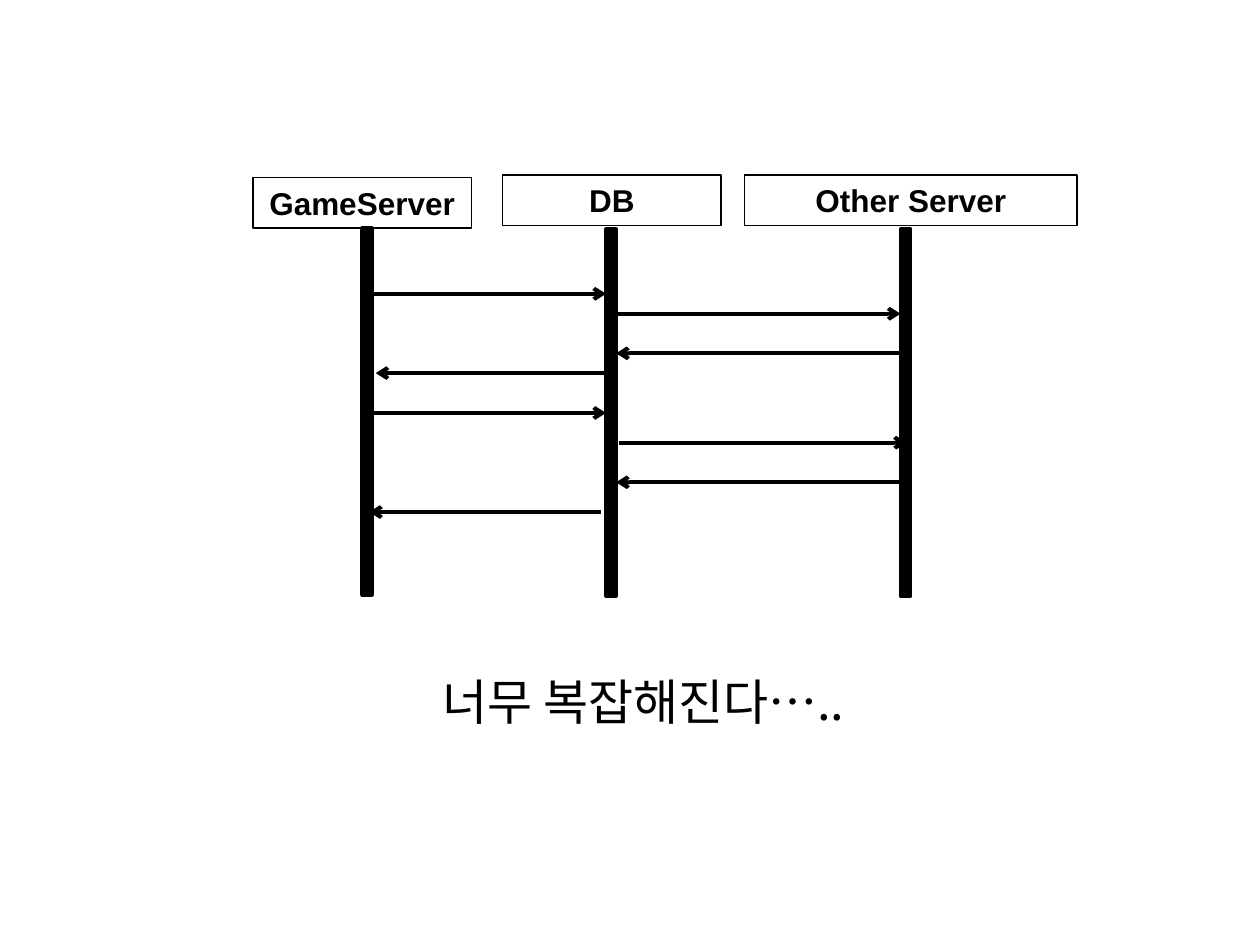
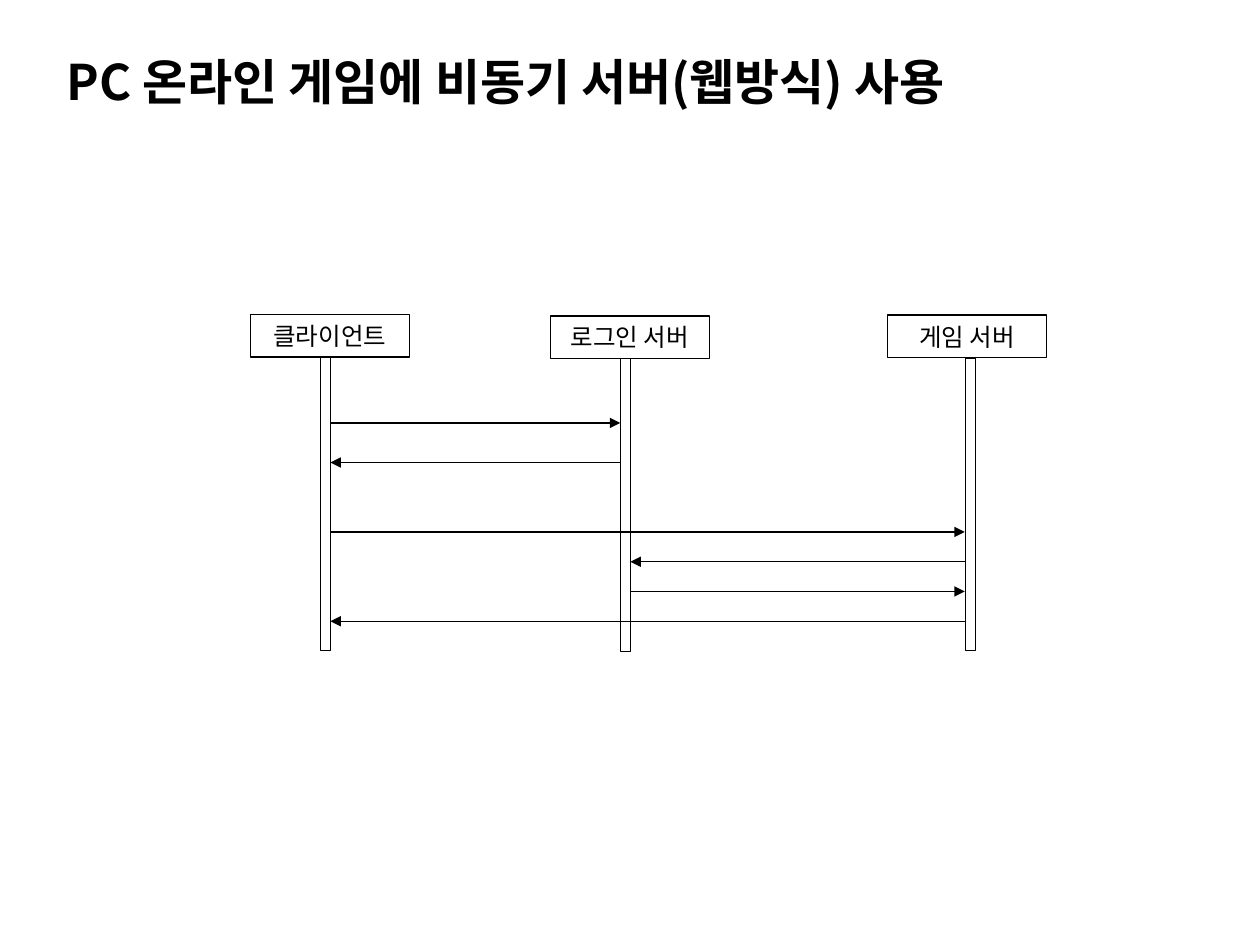
from lxml import etree
from pptx import Presentation
from pptx.dml.color import RGBColor
from pptx.enum.shapes import MSO_CONNECTOR, MSO_SHAPE
from pptx.enum.text import MSO_ANCHOR, MSO_AUTO_SIZE, PP_ALIGN
from pptx.oxml.ns import qn
from pptx.util import Pt

RECTANGLE = MSO_SHAPE.RECTANGLE
STRAIGHT = MSO_CONNECTOR.STRAIGHT
LEFT, CENTER = PP_ALIGN.LEFT, PP_ALIGN.CENTER
TOP, MIDDLE = MSO_ANCHOR.TOP, MSO_ANCHOR.MIDDLE
NO_AUTOFIT = MSO_AUTO_SIZE.NONE

TITLE_ONLY, BLANK = 5, 6
BLACK = "000000"
LATIN_FONT, KOREAN_FONT = "Arial", "Noto Sans CJK KR"
BAR_WIDTH = 5.8


def color(hex_string):
    return RGBColor.from_string(hex_string)


def write(shape, text, size=28, font=KOREAN_FONT, bold=False, align=LEFT,
          anchor=TOP, wrap=True):
    frame = shape.text_frame
    frame.word_wrap = wrap
    frame.auto_size = NO_AUTOFIT
    frame.vertical_anchor = anchor
    paragraph = frame.paragraphs[0]
    paragraph.alignment = align
    run = paragraph.add_run()
    run.text = text
    run.font.size = Pt(size)
    run.font.name = font
    run.font.bold = bold
    run.font.color.rgb = color(BLACK)
    east_asian = etree.SubElement(run._r.get_or_add_rPr(), qn("a:ea"))
    east_asian.set("typeface", KOREAN_FONT)


class SequenceDeck:
    def __init__(self):
        self.presentation = Presentation()
        self.presentation.slide_width = Pt(720)
        self.presentation.slide_height = Pt(540)
        self.slide = None

    def new_slide(self, layout):
        layouts = self.presentation.slide_layouts
        self.slide = self.presentation.slides.add_slide(layouts[layout])

    def title(self, text, left, top, width, height):
        title = self.slide.shapes.title
        title.left, title.top = Pt(left), Pt(top)
        title.width, title.height = Pt(width), Pt(height)
        write(title, text, bold=True)

    def caption(self, text, left, top, width, height):
        caption = self.slide.shapes.add_textbox(
            Pt(left), Pt(top), Pt(width), Pt(height))
        write(caption, text)

    def box(self, left, top, width, height, line_width, fill=None):
        box = self.slide.shapes.add_shape(
            RECTANGLE, Pt(left), Pt(top), Pt(width), Pt(height))
        box.shadow.inherit = False
        if fill:
            box.fill.solid()
            box.fill.fore_color.rgb = color(fill)
        else:
            box.fill.background()
        box.line.color.rgb = color(BLACK)
        box.line.width = Pt(line_width)
        return box

    def participant(self, name, left, top, width, height, **text_format):
        header = self.box(left, top, width, height, 0.75)
        write(header, name, font=LATIN_FONT, align=CENTER, anchor=MIDDLE,
              wrap=False, **text_format)

    def message(self, start, end, y, line_width, head):
        arrow = self.slide.shapes.add_connector(
            STRAIGHT, Pt(start), Pt(y), Pt(end), Pt(y))
        arrow.line.color.rgb = color(BLACK)
        arrow.line.width = Pt(line_width)
        tail = etree.SubElement(arrow.line._get_or_add_ln(), qn("a:tailEnd"))
        tail.set("type", head)
        etree.SubElement(arrow._element.spPr, qn("a:effectLst"))

    def messages(self, bars, exchanges, line_width, head):
        for sender, receiver, y, *nudges in exchanges:
            start_nudge, end_nudge = nudges or (0, 0)
            forward = sender < receiver
            start = bars[sender] + (BAR_WIDTH if forward else 0)
            end = bars[receiver] + (0 if forward else BAR_WIDTH)
            self.message(start + start_nudge, end + end_nudge, y,
                         line_width, head)


def build_complex_flow(deck):
    deck.new_slide(BLANK)
    participants = [("GameServer", 144.5, 101.5, 124.8),
                    ("DB", 287.3, 100, 124.8),
                    ("Other Server", 425.5, 100, 190)]
    for name, left, top, width in participants:
        deck.participant(name, left, top, width, 28.9, size=18, bold=True)
    game, db, other = range(3)
    bars = [206.7, 346.3, 514.6]
    for left, top in zip(bars, (130.4, 131, 131)):
        deck.box(left, top, BAR_WIDTH, 209.5, 2, fill=BLACK)
    deck.messages(bars, [
        (game, db, 167.9),
        (db, other, 179.3),
        (db, game, 213.2, 0, 2.2),
        (other, db, 201.9),
        (game, db, 236),
        (other, db, 275.6),
        (db, game, 292.6, -2.9, -1.5),
        (db, other, 253, 1.4, 3.6),
    ], 2.25, "arrow")
    deck.caption("너무 복잡해진다…..", 245.5, 380, 332.6, 41)


def build_async_flow(deck):
    deck.new_slide(TITLE_ONLY)
    deck.title("PC 온라인 게임에 비동기 서버(웹방식) 사용", 31, 26, 589.7, 41)
    participants = [("클라이언트", 143, 179.8), ("로그인 서버", 314.5, 180.5),
                    ("게임 서버", 507.2, 180)]
    for name, left, top in participants:
        deck.participant(name, left, top, 91, 24.3, size=14)
    client, login, game = range(3)
    bars = [183, 354.4, 551.3]
    for left, top in zip(bars, (204.2, 204.9, 204.5)):
        deck.box(left, top, BAR_WIDTH, 167.2, 0.25)
    deck.messages(bars, [
        (client, login, 241.7),
        (game, client, 355),
        (login, client, 264.3),
        (client, game, 304),
        (game, login, 321),
        (login, game, 338),
    ], 0.75, "triangle")


def main():
    deck = SequenceDeck()
    build_complex_flow(deck)
    build_async_flow(deck)
    deck.presentation.save("out.pptx")


if __name__ == "__main__":
    main()
